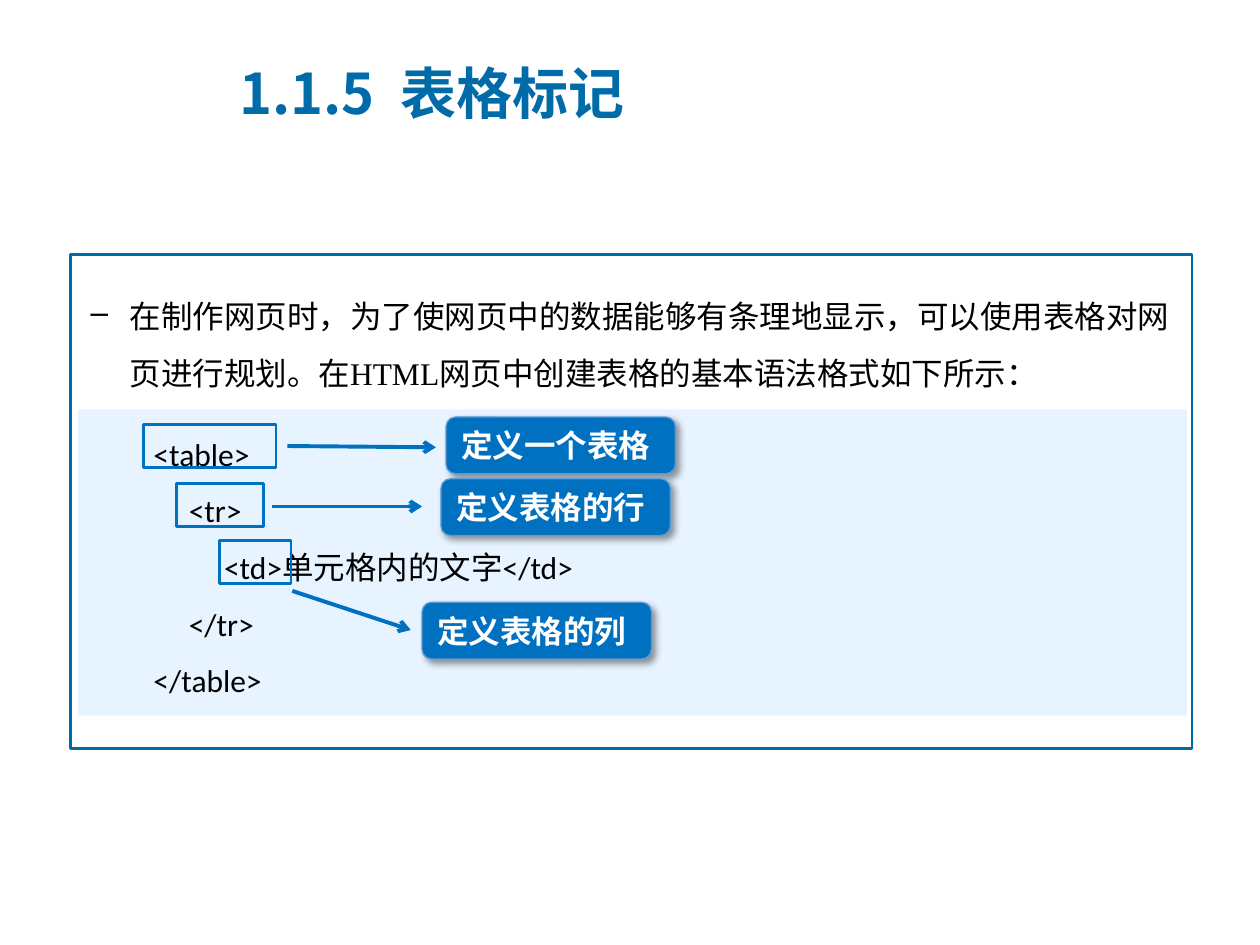
import pptx
import pptx.dml.color
import pptx.enum.shapes
import pptx.enum.text
import pptx.oxml.ns
import pptx.util
from lxml import etree
from pptx.util import Inches

COLORS = {
    "title": "006BA9",
    "accent": "0070C0",
    "callout_edge": "5B9BD5",
    "code_back": "E7F4FF",
    "white": "FFFFFF",
    "black": "000000",
}
CJK_FONT = "Noto Sans CJK SC"
SHAPES = pptx.enum.shapes.MSO_SHAPE
ANCHORS = pptx.enum.text.MSO_ANCHOR


def add_xml(parent, tag, **attributes):
    return etree.SubElement(parent, pptx.oxml.ns.qn(tag), attributes)


class SlideBuilder:
    def __init__(self, slide):
        self.slide = slide

    def color(self, name):
        return pptx.dml.color.RGBColor.from_string(COLORS[name])

    def box(self, bounds, fill=None, line=None, width=1.5, kind=SHAPES.RECTANGLE):
        shape = self.slide.shapes.add_shape(kind, *map(Inches, bounds))
        shape.shadow.inherit = False
        if fill:
            shape.fill.solid()
            shape.fill.fore_color.rgb = self.color(fill)
        else:
            shape.fill.background()
        if line:
            shape.line.color.rgb = self.color(line)
            shape.line.width = pptx.util.Pt(width)
        else:
            shape.line.fill.background()
        return shape

    def set_text(self, shape, text, font="Calibri", size=18, color="black", bold=False,
                 spacing=1.0, anchor=ANCHORS.TOP):
        frame = shape.text_frame
        frame.word_wrap = True
        frame.vertical_anchor = anchor
        frame.text = text
        for paragraph in frame.paragraphs:
            paragraph.alignment = pptx.enum.text.PP_ALIGN.LEFT
            paragraph.line_spacing = spacing
            for run in paragraph.runs:
                run.font.name = font
                run.font.size = pptx.util.Pt(size)
                run.font.bold = bold
                run.font.color.rgb = self.color(color)
                add_xml(run.font._element, "a:ea", typeface=CJK_FONT)
        return frame.paragraphs

    def indent(self, paragraph, left, first=0.0):
        properties = paragraph._p.get_or_add_pPr()
        properties.set("marL", str(Inches(left)))
        properties.set("indent", str(Inches(first)))
        return properties

    def text(self, bounds, text, hanging, bullet=None, **style):
        textbox = self.slide.shapes.add_textbox(*map(Inches, bounds))
        paragraph = self.set_text(textbox, text, **style)[0]
        properties = self.indent(paragraph, hanging, -hanging)
        if bullet:
            add_xml(properties, "a:buChar", char=bullet)

    def code(self, bounds, lines):
        """Draw a code panel from (depth, text) pairs."""
        panel = self.box(bounds, fill="code_back")
        text = "\n".join(line for _, line in lines)
        paragraphs = self.set_text(panel, text, spacing=1.5)
        for paragraph, (depth, _) in zip(paragraphs, lines):
            self.indent(paragraph, 0.5 + 0.28 * depth)

    def callout(self, left, top, text):
        label = self.box((left, top, 1.82, 0.45), "accent", "callout_edge", 0.75,
                         SHAPES.ROUNDED_RECTANGLE)
        effects = label._element.spPr.find(pptx.oxml.ns.qn("a:effectLst"))
        shadow = add_xml(effects, "a:outerShdw", blurRad=str(pptx.util.Pt(4)),
                         dist=str(pptx.util.Pt(3)), dir="2700000", algn="tl",
                         rotWithShape="0")
        shade = add_xml(shadow, "a:srgbClr", val=COLORS["black"])
        add_xml(shade, "a:alpha", val="40000")
        self.set_text(label, text, color="white", bold=True, anchor=ANCHORS.MIDDLE)

    def arrow(self, start, end):
        connector = self.slide.shapes.add_connector(
            pptx.enum.shapes.MSO_CONNECTOR.STRAIGHT, *map(Inches, start + end))
        connector.line.color.rgb = self.color("accent")
        connector.line.width = pptx.util.Pt(2.25)
        add_xml(connector.line._get_or_add_ln(), "a:tailEnd", type="arrow")
        add_xml(connector._element.spPr, "a:effectLst")


def main():
    presentation = pptx.Presentation()
    presentation.slide_width = Inches(10)
    presentation.slide_height = Inches(7.5)
    builder = SlideBuilder(presentation.slides.add_slide(presentation.slide_layouts[6]))

    builder.text((1.8, 0.43, 7.3, 0.61), "1.1.5  表格标记", 0.62, font=CJK_FONT,
                 size=32, color="title", bold=True, anchor=ANCHORS.MIDDLE)
    builder.box((0.56, 2.02, 8.9, 3.92), "white", "title")
    builder.text(
        (0.62, 2.16, 8.79, 1.41),
        "在制作网页时，为了使网页中的数据能够有条理地显示，可以使用表格对网页进行规划。"
        "在HTML网页中创建表格的基本语法格式如下所示：",
        0.31, bullet="–", font="Times New Roman", spacing=1.5)
    builder.code((0.62, 3.25, 8.8, 2.43), [
        (0, "<table>"),
        (1, "<tr>"),
        (2, "<td>单元格内的文字</td>"),
        (1, "</tr>"),
        (0, "</table>"),
    ])

    # tag frame (left, top, width), arrow start and end, callout (left, top, text)
    explanations = [
        ((1.14, 3.37, 1.05), (2.28, 3.54), (3.46, 3.55), (3.54, 3.31, "定义一个表格")),
        ((1.4, 3.84, 0.69), (2.16, 4.02), (3.35, 4.02), (3.5, 3.8, "定义表格的行")),
        ((1.74, 4.29, 0.57), (2.32, 4.69), (3.26, 5), (3.35, 4.78, "定义表格的列")),
    ]
    for tag_frame, start, end, callout in explanations:
        builder.box((*tag_frame, 0.34), line="accent")
        builder.arrow(start, end)
        builder.callout(*callout)

    presentation.save("out.pptx")


if __name__ == "__main__":
    main()
